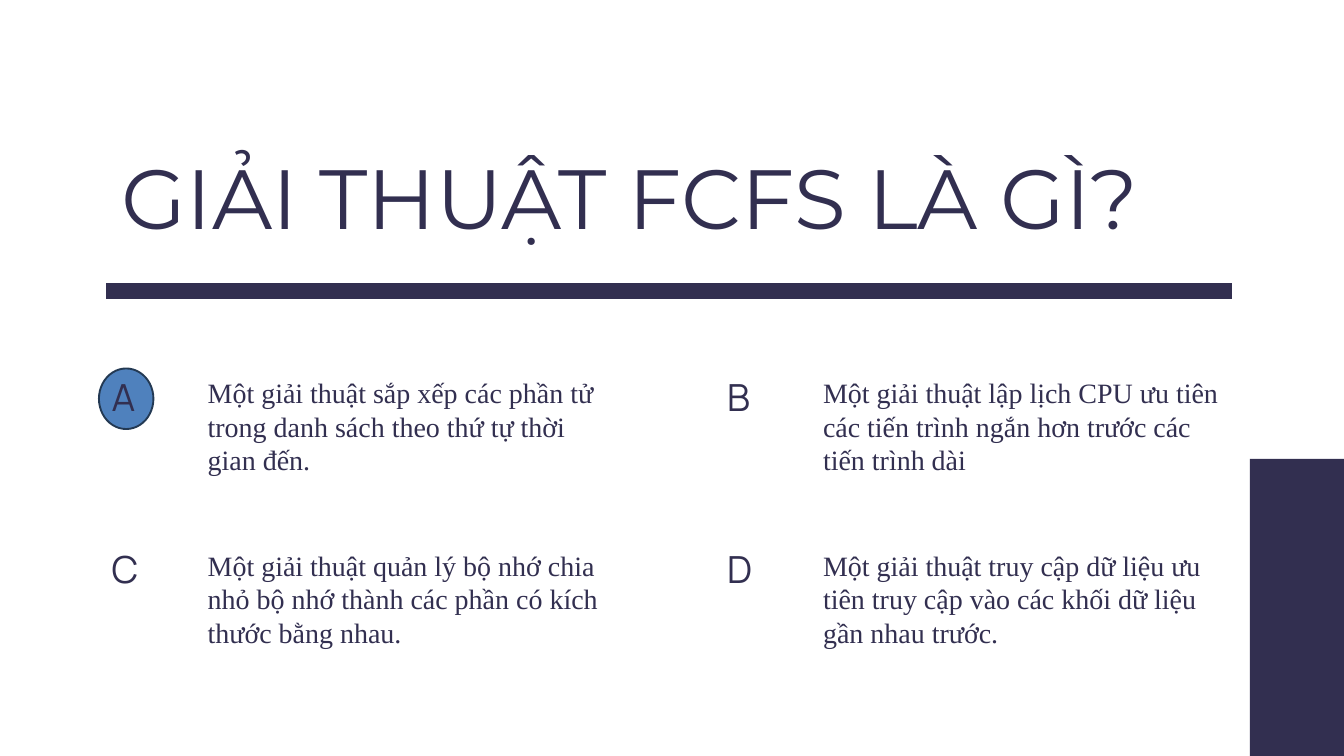
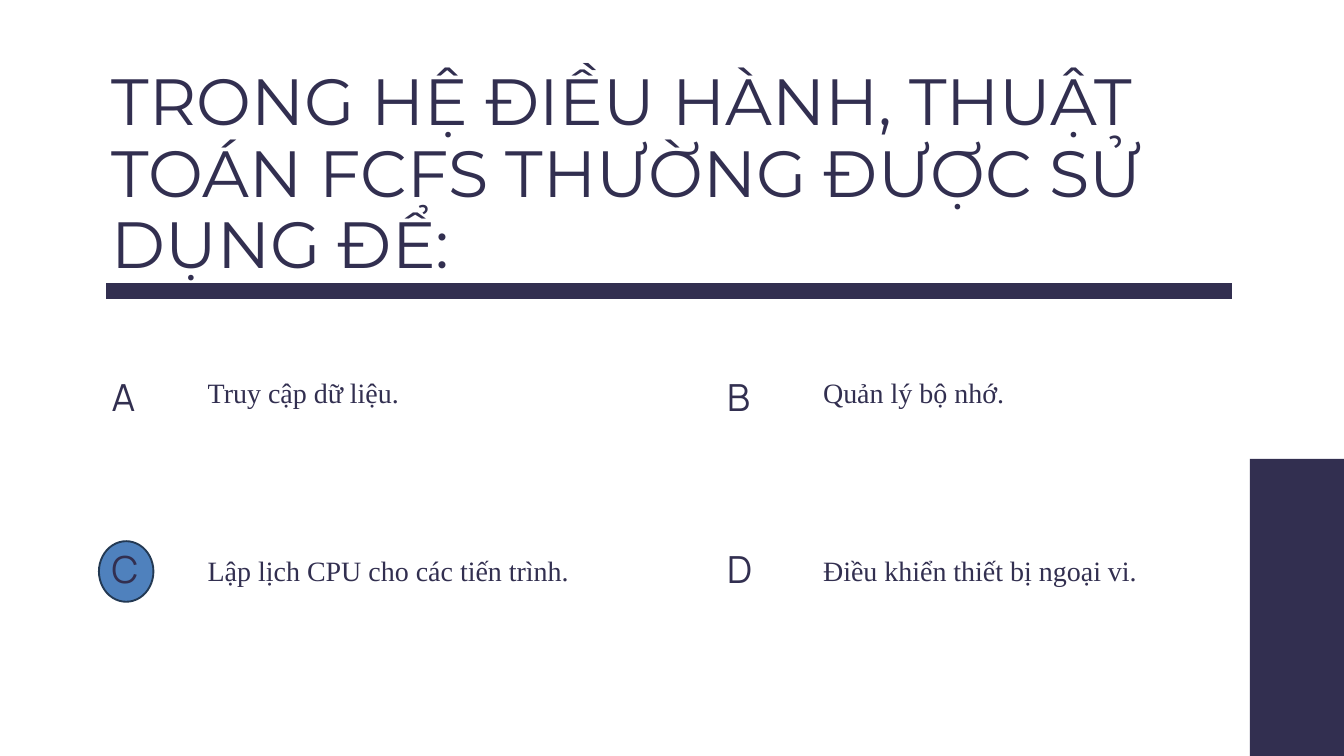
"""Build two quiz slides on the FCFS algorithm."""
from dataclasses import dataclass

import lxml.etree
import pptx
import pptx.dml.color
import pptx.enum.shapes
import pptx.enum.text
import pptx.oxml.ns
import pptx.util

Cm = pptx.util.Cm
Pt = pptx.util.Pt
Shape = pptx.enum.shapes.MSO_SHAPE


def color(code):
    return pptx.dml.color.RGBColor.from_string(code)


@dataclass(frozen=True)
class Type:
    font: str
    size: float
    lead: float


@dataclass(frozen=True)
class Theme:
    ink = color("322F50")
    mark = color("4F81BD")
    edge = color("233953")
    large = Type("Montserrat", 90, 99)
    small = Type("Montserrat", 70, 77)
    letter = Type("Manrope", 40, 44)
    answer = Type("Times New Roman", 30, 36)


class Quiz:
    left, top = 4.22, 14.27
    col_step, row_step = 23.26, 6.53
    indent = 3.63

    def __init__(self, theme):
        self.theme = theme
        self.deck = pptx.Presentation()
        self.deck.slide_width = Cm(50.8)
        self.deck.slide_height = Cm(28.58)
        self.slide = None

    def start(self):
        self.slide = self.deck.slides.add_slide(self.deck.slide_layouts[5])

    def fill_text(self, box, text, style):
        frame = box.text_frame
        frame.word_wrap = True
        frame.auto_size = pptx.enum.text.MSO_AUTO_SIZE.SHAPE_TO_FIT_TEXT
        frame.vertical_anchor = pptx.enum.text.MSO_ANCHOR.TOP
        frame.margin_left = frame.margin_right = 0
        frame.margin_top = frame.margin_bottom = 0
        frame.text = text
        line = frame.paragraphs[0]
        line.alignment = pptx.enum.text.PP_ALIGN.LEFT
        line.line_spacing = Pt(style.lead)
        line.font.name = style.font
        line.font.size = Pt(style.size)
        line.font.color.rgb = self.theme.ink

    def title(self, text, style, area):
        box = self.slide.shapes.title
        box.left, box.top, box.width, box.height = map(Cm, area)
        self.fill_text(box, text, style)

    def text(self, text, style, *area):
        box = self.slide.shapes.add_textbox(*map(Cm, area))
        self.fill_text(box, text, style)

    def shape(self, kind, fill, *area):
        item = self.slide.shapes.add_shape(kind, *map(Cm, area))
        item.shadow.inherit = False
        item.fill.solid()
        item.fill.fore_color.rgb = fill
        item.line.fill.background()
        return item

    def band(self):
        self.shape(Shape.RECTANGLE, self.theme.ink, 47.24, 17.35, 4.25, 15.22)

    def rule(self):
        kind = pptx.enum.shapes.MSO_CONNECTOR.STRAIGHT
        rule = self.slide.shapes.add_connector(
            kind, Cm(4.01), Cm(11), Cm(46.58), Cm(11))
        rule.line.color.rgb = self.theme.ink
        rule.line.width = Pt(16.5)
        tag = pptx.oxml.ns.qn("a:effectLst")
        lxml.etree.SubElement(rule._element.spPr, tag)

    def ring(self, x, y):
        ring = self.shape(Shape.OVAL, self.theme.mark,
                          x - 0.48, y - 0.34, 2.06, 2.29)
        ring.line.color.rgb = self.theme.edge
        ring.line.width = Pt(2)

    def choices(self, answers, right, shifts, lines):
        for i, (letter, answer) in enumerate(zip("ABCD", answers)):
            row, col = divmod(i, 2)
            x = self.left + col * self.col_step
            y = self.top + row * self.row_step
            if letter == right:
                self.ring(x, y)
            self.text(letter, self.theme.letter, x, y, 3.05, 1.68)
            self.text(answer, self.theme.answer, x + self.indent,
                      y + shifts[row], 15.47, lines * 1.28)

    def ask(self, title, style, area, answers, right, shifts, lines):
        self.start()
        self.band()
        self.title(title, style, area)
        self.choices(answers, right, shifts, lines)
        self.rule()


def main():
    theme = Theme()
    quiz = Quiz(theme)
    quiz.ask(
        "GIẢI THUẬT FCFS LÀ GÌ?", theme.large, (4.6, 5.82, 41.58, 7.06),
        ["Một giải thuật sắp xếp các phần tử trong danh sách theo thứ tự "
         "thời gian đến.",
         "Một giải thuật lập lịch CPU ưu tiên các tiến trình ngắn hơn trước "
         "các tiến trình dài",
         "Một giải thuật quản lý bộ nhớ chia nhỏ bộ nhớ thành các phần có "
         "kích thước bằng nhau.",
         "Một giải thuật truy cập dữ liệu ưu tiên truy cập vào các khối dữ "
         "liệu gần nhau trước."],
        "A", (-0.07, -0.07), 3)
    quiz.ask(
        "TRONG HỆ ĐIỀU HÀNH, THUẬT TOÁN FCFS THƯỜNG ĐƯỢC SỬ DỤNG ĐỂ:",
        theme.small, (4.22, 2.51, 43.33, 8.15),
        ["Truy cập dữ liệu.", "Quản lý bộ nhớ.",
         "Lập lịch CPU cho các tiến trình.", "Điều khiển thiết bị ngoại vi."],
        "C", (-0.07, 0.13), 1)
    quiz.deck.save("out.pptx")


if __name__ == "__main__":
    main()
